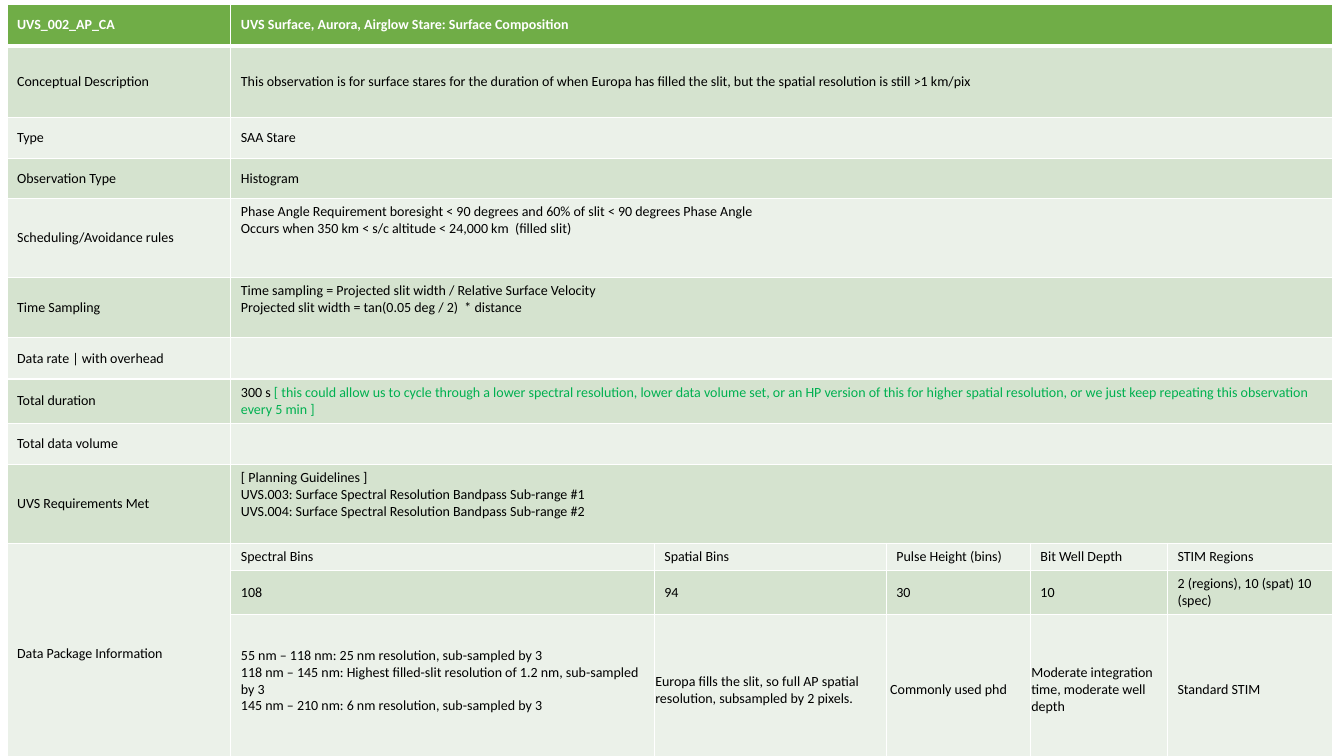
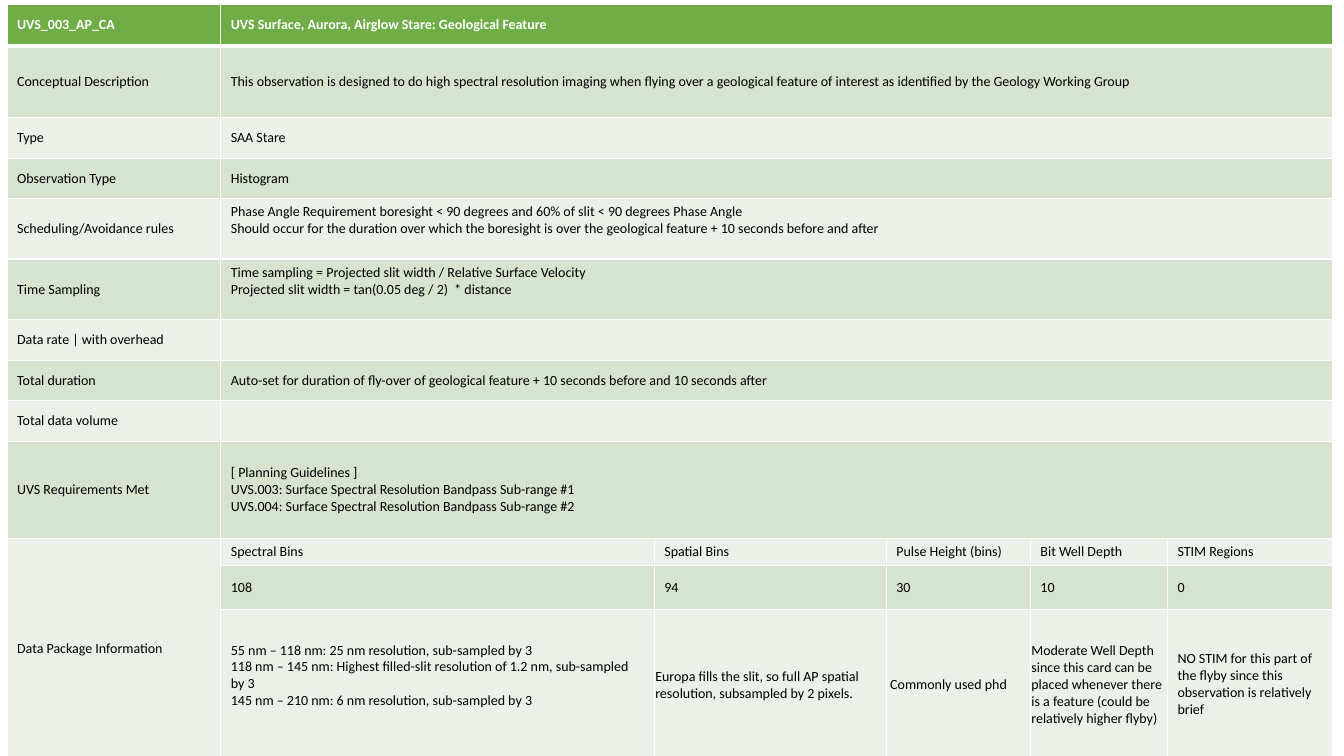
from pptx import Presentation
from pptx.dml.color import RGBColor
from pptx.enum.text import MSO_ANCHOR as ANCHOR
from pptx.oxml import parse_xml
from pptx.oxml.ns import nsdecls
from pptx.util import Inches, Pt

COLORS = {"header": "70AD47", "dark": "D5E3CF", "light": "EBF1E9",
          "white": "FFFFFF", "text": "000000", "note": "00B050"}
FONT, SIZE = "Calibri", 10

LABELS = ["Conceptual Description", "Type", "Observation Type",
          "Scheduling/Avoidance rules", "Time Sampling",
          "Data rate | with overhead", "Total duration", "Total data volume",
          "UVS Requirements Met"]
PHASE_RULE = ("Phase Angle Requirement boresight < 90 degrees and 60% of slit "
              "< 90 degrees Phase Angle")
SAMPLING = ["Time sampling = Projected slit width / Relative Surface Velocity",
            "Projected slit width = tan(0.05 deg / 2)  * distance"]
REQUIREMENTS = ["[ Planning Guidelines ]",
                "UVS.003: Surface Spectral Resolution Bandpass Sub-range #1",
                "UVS.004: Surface Spectral Resolution Bandpass Sub-range #2"]
PACKAGE_HEADS = ["Spectral Bins", "Spatial Bins", "Pulse Height (bins)",
                 "Bit Well Depth", "STIM Regions"]
PACKAGE_VALUES = ["108", "94", "30", "10"]
SPECTRAL = ["55 nm – 118 nm: 25 nm resolution, sub-sampled by 3",
            "118 nm – 145 nm: Highest filled-slit resolution of 1.2 nm, sub-sampled by 3",
            "145 nm – 210 nm: 6 nm resolution, sub-sampled by 3"]
SPATIAL = "Europa fills the slit, so full AP spatial resolution, subsampled by 2 pixels."

COLS = [2.3, 1.43, 1.36, 1.64]
ROWS_TOP, ROWS_END = [0.42, 0.71, 0.4, 0.4], [0.27, 0.44, 1.48]
PACKAGE_ROW = len(LABELS) + 1

CARDS = [
    {"code": "UVS_002_AP_CA",
     "title": "UVS Surface, Aurora, Airglow Stare: Surface Composition",
     "cols": [2.22, 4.2],
     "rows": [0.78, 0.6, 0.41, 0.44, 0.41, 0.78],
     "top_rows": [4, 5, 9],
     "description": "This observation is for surface stares for the duration of when "
                    "Europa has filled the slit, but the spatial resolution is still "
                    ">1 km/pix",
     "rule": "Occurs when 350 km < s/c altitude < 24,000 km  (filled slit)",
     "duration": ["300 s ",
                  "[ this could allow us to cycle through a lower spectral resolution, "
                  "lower data volume set, or an HP version of this for higher spatial "
                  "resolution, or we just keep repeating this observation every 5 min ]"],
     "stim": "2 (regions), 10 (spat) 10 (spec)",
     "depth_note": "Moderate integration time, moderate well depth",
     "stim_note": "Standard STIM"},
    {"code": "UVS_003_AP_CA",
     "title": "UVS Surface, Aurora, Airglow Stare: Geological Feature",
     "cols": [2.12, 4.3],
     "rows": [0.6, 0.6, 0.41, 0.39, 0.41, 0.96],
     "top_rows": [4, 5],
     "description": "This observation is designed to do high spectral resolution imaging "
                    "when flying over a geological feature of interest as identified by "
                    "the Geology Working Group",
     "rule": "Should occur for the duration over which the boresight is over the "
             "geological feature + 10 seconds before and after",
     "duration": ["Auto-set for duration of fly-over of geological feature "
                  "+ 10 seconds before and 10 seconds after"],
     "stim": "0",
     "depth_note": "Moderate Well Depth since this card can be placed whenever there is "
                   "a feature (could be relatively higher flyby)",
     "stim_note": "NO STIM for this part of the flyby since this observation is "
                  "relatively brief"},
]


def write_cell(cell, lines, header=False):
    cell.vertical_anchor = ANCHOR.MIDDLE
    tf = cell.text_frame
    for i, line in enumerate(lines):
        p = tf.paragraphs[0] if i == 0 else tf.add_paragraph()
        runs = [line] if isinstance(line, str) else line
        for text, color in zip(runs, ["white" if header else "text", "note"]):
            r = p.add_run()
            r.text = text
            r.font.name, r.font.size, r.font.bold = FONT, Pt(SIZE), header
            r.font.color.rgb = RGBColor.from_string(COLORS[color])


def style_cell(cell, row):
    tc_pr = cell._tc.get_or_add_tcPr()
    for side in "LRTB":
        heavy = (row, side) in [(0, "B"), (1, "T")]
        tc_pr.append(parse_xml(
            f'<a:ln{side} {nsdecls("a")} w="{Pt(3 if heavy else 1)}"><a:solidFill>'
            f'<a:srgbClr val="{COLORS["white"]}"/></a:solidFill></a:ln{side}>'))
    fill = "header" if row == 0 else "dark" if row % 2 else "light"
    cell.fill.solid()
    cell.fill.fore_color.rgb = RGBColor.from_string(COLORS[fill])


prs = Presentation()
prs.slide_width, prs.slide_height = Inches(13.33), Inches(7.5)

for card in CARDS:
    s = prs.slides.add_slide(prs.slide_layouts[6])
    widths = card["cols"] + COLS
    heights = ROWS_TOP + card["rows"] + ROWS_END
    table = s.shapes.add_table(len(heights), len(widths), Inches(0.07), Inches(0.04),
                               Inches(sum(widths)), Inches(sum(heights))).table
    table.horz_banding = False
    for col, width in zip(table.columns, widths):
        col.width = Inches(width)
    for i, (row, height) in enumerate(zip(table.rows, heights)):
        row.height = Inches(height)
        for cell in row.cells:
            style_cell(cell, 10 if i > PACKAGE_ROW and cell is row.cells[0] else i)

    for i in range(PACKAGE_ROW):
        table.cell(i, 1).merge(table.cell(i, 5))
    table.cell(PACKAGE_ROW, 0).merge(table.cell(PACKAGE_ROW + 2, 0))

    write_cell(table.cell(0, 0), [card["code"]], header=True)
    write_cell(table.cell(0, 1), [card["title"]], header=True)

    details = [[card["description"]], ["SAA Stare"], ["Histogram"],
               [PHASE_RULE, card["rule"]], SAMPLING, [], [card["duration"]], [],
               REQUIREMENTS]
    for i, (label, lines) in enumerate(zip(LABELS, details), 1):
        write_cell(table.cell(i, 0), [label])
        write_cell(table.cell(i, 1), lines)
    for i in card["top_rows"]:
        table.cell(i, 1).vertical_anchor = ANCHOR.TOP

    write_cell(table.cell(PACKAGE_ROW, 0), ["Data Package Information"])
    notes = [SPECTRAL, [SPATIAL], ["Commonly used phd"], [card["depth_note"]],
             [card["stim_note"]]]
    package = [[[head] for head in PACKAGE_HEADS],
               [[value] for value in PACKAGE_VALUES + [card["stim"]]],
               notes]
    for i, row in enumerate(package, PACKAGE_ROW):
        for j, lines in enumerate(row, 1):
            write_cell(table.cell(i, j), lines)

    last = PACKAGE_ROW + 2
    table.cell(last, 1).margin_bottom = Inches(0.22)
    for j, left in [(2, 0.01), (3, 0.04), (4, 0.01)]:
        cell = table.cell(last, j)
        cell.margin_left = Inches(left)
        cell.margin_right = cell.margin_top = Inches(0.01)
        cell.margin_bottom = 0

prs.save("out.pptx")
